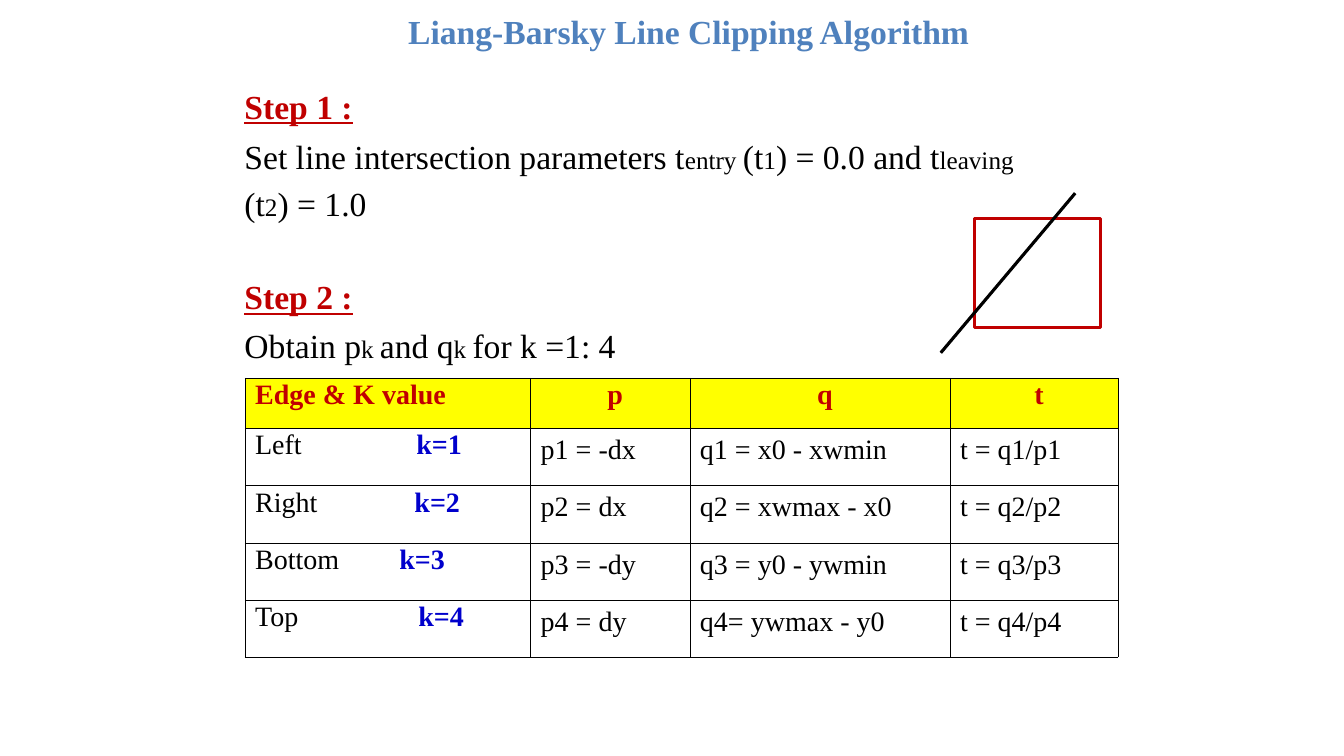
from collections import namedtuple
from dataclasses import dataclass

from lxml.etree import SubElement
from pptx import Presentation
from pptx.dml.color import RGBColor
from pptx.enum.shapes import MSO_CONNECTOR, MSO_SHAPE
from pptx.enum.text import MSO_ANCHOR, MSO_AUTO_SIZE, PP_ALIGN
from pptx.oxml.ns import qn
from pptx.util import Pt

Box = namedtuple("Box", "left top width height")


@dataclass(frozen=True)
class Theme:
    font: str = "Times New Roman"
    title: RGBColor = RGBColor(0x4F, 0x81, 0xBD)
    accent: RGBColor = RGBColor(0xC0, 0x00, 0x00)
    edge_number: RGBColor = RGBColor(0x00, 0x00, 0xCC)
    text: RGBColor = RGBColor(0x00, 0x00, 0x00)
    header_fill: RGBColor = RGBColor(0xFF, 0xFF, 0x00)
    body_size: int = 24
    subscript_size: int = 18
    table_size: int = 20


THEME = Theme()

STEPS = [
    ("Step 1 :", 8.2, "Set line intersection parameters t|entry |(t|1|) = 0.0 and t|leaving |(t|2|) = 1.0", 3, 1.15),
    ("Step 2 :", 38, "Obtain p|k |and q|k |for k =1: |", 6.2, 1),
]
STEPS[1] = STEPS[1][:2] + ("Obtain p|k |and q|k |for k =1: 4",) + STEPS[1][3:]

HEADERS = ["Edge & K value", "p", "q", "t"]
EDGES = [
    ("Left", 115.2, "p1 = -dx", "q1 = x0 - xwmin"),
    ("Right", 113.8, "p2 = dx", "q2 = xwmax - x0"),
    ("Bottom", 103, "p3 = -dy", "q3 = y0 - ywmin"),
    ("Top", 116.6, "p4 = dy", "q4= ywmax - y0"),
]
COLUMN_WIDTHS = [204, 113.8, 185.8, 120.2]
HEADER_HEIGHT = 36


def set_font(font, size, color, bold=False):
    font.name = THEME.font
    font.size = Pt(size)
    font.color.rgb = color
    font.bold = bold


def place_placeholder(shape, box, top_margin):
    shape.left, shape.top, shape.width, shape.height = map(Pt, box)
    frame = shape.text_frame
    frame.margin_left = frame.margin_right = frame.margin_bottom = 0
    frame.margin_top = Pt(top_margin)
    frame.vertical_anchor = MSO_ANCHOR.TOP
    frame.word_wrap = True
    frame.auto_size = MSO_AUTO_SIZE.NONE
    return frame


def add_title(slide, box):
    frame = place_placeholder(slide.shapes.title, box, 1)
    paragraph = frame.paragraphs[0]
    paragraph.text = "Liang-Barsky Line Clipping Algorithm"
    paragraph.alignment = PP_ALIGN.LEFT
    paragraph.space_before = Pt(1)
    set_font(paragraph.font, THEME.body_size, THEME.title, True)


def add_step_paragraph(frame, space_before, line_spacing=1):
    first = frame.paragraphs[0]
    paragraph = frame.add_paragraph() if first.runs else first
    properties = paragraph._p.get_or_add_pPr()
    properties.set("marL", "0")
    properties.set("indent", "0")
    SubElement(properties, qn("a:buNone"))
    paragraph.space_before = Pt(space_before)
    paragraph.line_spacing = line_spacing
    return paragraph


def add_steps(slide, box):
    frame = place_placeholder(slide.placeholders[1], box, 8)
    for heading, heading_space, sentence, sentence_space, line_spacing in STEPS:
        paragraph = add_step_paragraph(frame, heading_space)
        paragraph.add_run().text = heading
        set_font(paragraph.font, THEME.body_size, THEME.accent, True)
        paragraph.font.underline = True

        paragraph = add_step_paragraph(frame, sentence_space, line_spacing)
        for index, piece in enumerate(sentence.split("|")):
            run = paragraph.add_run()
            run.text = piece
            size = THEME.subscript_size if index % 2 else THEME.body_size
            set_font(run.font, size, THEME.text)


def add_clipping_figure(slide, box):
    inset_x, inset_y = 24, 18
    window = slide.shapes.add_shape(
        MSO_SHAPE.RECTANGLE,
        Pt(box.left + inset_x), Pt(box.top + inset_y), Pt(90), Pt(78),
    )
    window.shadow.inherit = False
    window.fill.background()
    window.line.color.rgb = THEME.accent
    window.line.width = Pt(2)

    line = slide.shapes.add_connector(
        MSO_CONNECTOR.STRAIGHT,
        Pt(box.left + box.width), Pt(box.top), Pt(box.left), Pt(box.top + box.height),
    )
    line.line.color.rgb = THEME.text
    line.line.width = Pt(2.25)
    SubElement(line._element.spPr, qn("a:effectLst"))


def add_borders(cell):
    properties = cell._tc.get_or_add_tcPr()
    for index, side in enumerate(("a:lnL", "a:lnR", "a:lnT", "a:lnB")):
        border = SubElement(properties, qn(side), w=str(Pt(0.25)))
        fill = SubElement(border, qn("a:solidFill"))
        SubElement(fill, qn("a:srgbClr"), val=str(THEME.text))
        properties.insert(index, border)


def format_cell(cell, top_margin, space_before):
    cell.margin_left = Pt(7.2)
    cell.margin_right = cell.margin_bottom = 0
    cell.margin_top = Pt(top_margin)
    paragraph = cell.text_frame.paragraphs[0]
    paragraph.space_before = Pt(space_before)
    add_borders(cell)
    return paragraph


def fill_header(cell, text, alignment):
    cell.fill.solid()
    cell.fill.fore_color.rgb = THEME.header_fill
    paragraph = format_cell(cell, 1, 1.1)
    paragraph.text = text
    paragraph.alignment = alignment
    set_font(paragraph.font, THEME.table_size, THEME.accent, True)


def fill_edge(cell, name, number, tab_position):
    cell.fill.background()
    paragraph = format_cell(cell, 1, 1.1)
    tabs = SubElement(paragraph._p.get_or_add_pPr(), qn("a:tabLst"))
    SubElement(tabs, qn("a:tab"), pos=str(Pt(tab_position)), algn="l")
    for text, color, bold in (
        (f"{name}\t", THEME.text, False),
        (f"k={number}", THEME.edge_number, True),
    ):
        run = paragraph.add_run()
        run.text = text
        set_font(run.font, THEME.table_size, color, bold)


def fill_formula(cell, text):
    cell.fill.background()
    paragraph = format_cell(cell, 4.5, 4.1)
    paragraph.text = text
    set_font(paragraph.font, THEME.table_size, THEME.text)


def add_edge_table(slide, box):
    table = slide.shapes.add_table(len(EDGES) + 1, len(HEADERS), *map(Pt, box)).table
    for column, width in zip(table.columns, COLUMN_WIDTHS):
        column.width = Pt(width)
    for index, row in enumerate(table.rows):
        edge_height = (box.height - HEADER_HEIGHT) / len(EDGES)
        row.height = Pt(edge_height if index else HEADER_HEIGHT)

    for column, header in enumerate(HEADERS):
        alignment = PP_ALIGN.CENTER if column else PP_ALIGN.LEFT
        fill_header(table.cell(0, column), header, alignment)
    for number, (name, tab_position, *formulas) in enumerate(EDGES, 1):
        fill_edge(table.cell(number, 0), name, number, tab_position)
        formulas.append(f"t = q{number}/p{number}")
        for column, formula in enumerate(formulas, 1):
            fill_formula(table.cell(number, column), formula)


def main():
    presentation = Presentation()
    presentation.slide_width, presentation.slide_height = Pt(960), Pt(540)
    slide = presentation.slides.add_slide(presentation.slide_layouts[1])
    add_clipping_figure(slide, Box(672, 138, 96, 114))
    add_title(slide, Box(291.6, 6.5, 402, 31))
    add_steps(slide, Box(174.6, 53.3, 550.8, 207.4))
    add_edge_table(slide, Box(175, 270, 623.8, 199.4))
    presentation.save("out.pptx")


if __name__ == "__main__":
    main()
